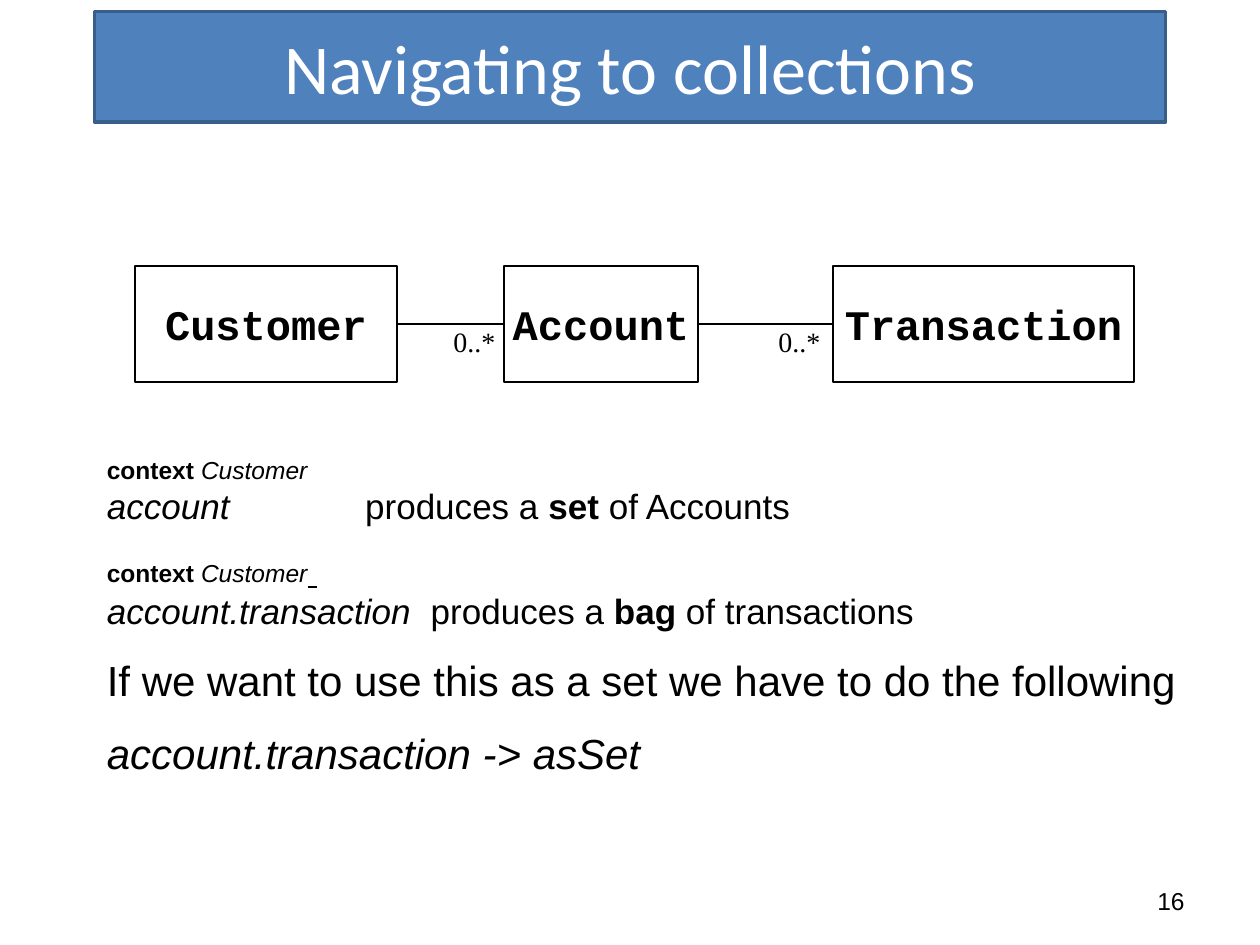
import pptx
import pptx.util
import pptx.dml.color
import pptx.enum.shapes
import pptx.enum.text
import lxml.etree

Inches = pptx.util.Inches
Pt = pptx.util.Pt
RGBColor = pptx.dml.color.RGBColor
ALIGN = pptx.enum.text.PP_ALIGN
ANCHOR = pptx.enum.text.MSO_ANCHOR

BLACK = RGBColor(0x00, 0x00, 0x00)
WHITE = RGBColor(0xFF, 0xFF, 0xFF)
BLUE = RGBColor(0x4F, 0x81, 0xBD)
DARK_BLUE = RGBColor(0x39, 0x5E, 0x89)
DRAWING = "http://schemas.openxmlformats.org/drawingml/2006/main"


def format_run(run, size, name="Arial", color=BLACK, style=""):
    """Style letters: b bold, i italic, u underline."""
    font = run.font
    font.name, font.size = name, Pt(size)
    font.color.rgb = color
    font.bold, font.italic, font.underline = (letter in style for letter in "biu")


def add_text_box(slide, left, top, width, height, wrap=True, anchor=ANCHOR.TOP):
    box = slide.shapes.add_textbox(Inches(left), Inches(top), Inches(width), Inches(height))
    box.text_frame.word_wrap = wrap
    box.text_frame.vertical_anchor = anchor
    return box.text_frame


def add_label(slide, text, size, name, align, *box, **options):
    frame = add_text_box(slide, *box, **options)
    frame.text = text
    paragraph = frame.paragraphs[0]
    paragraph.alignment = align
    format_run(paragraph.runs[0], size, name)


def place_title(slide, left, top, width, height):
    title = slide.shapes.title
    title.left, title.top = Inches(left), Inches(top)
    title.width, title.height = Inches(width), Inches(height)
    title.fill.solid()
    title.fill.fore_color.rgb = BLUE
    title.line.color.rgb = DARK_BLUE
    title.line.width = Pt(2)
    frame = title.text_frame
    frame.text = "Navigating to collections"
    frame.vertical_anchor = ANCHOR.MIDDLE
    frame.paragraphs[0].alignment = ALIGN.CENTER
    format_run(frame.paragraphs[0].runs[0], 40, "Calibri", WHITE)


def add_class_box(slide, name, left, top, width, height):
    shape = slide.shapes.add_shape(
        pptx.enum.shapes.MSO_SHAPE.RECTANGLE,
        Inches(left), Inches(top), Inches(width), Inches(height))
    shape.shadow.inherit = False
    shape.fill.background()
    shape.line.color.rgb = BLACK
    shape.line.width = Pt(1)
    frame = shape.text_frame
    frame.text = name
    frame.word_wrap = False
    frame.vertical_anchor = ANCHOR.MIDDLE
    frame.paragraphs[0].alignment = ALIGN.CENTER
    format_run(frame.paragraphs[0].runs[0], 24, "Courier New", style="b")
    return shape


def add_association(slide, source, target):
    connector = slide.shapes.add_connector(pptx.enum.shapes.MSO_CONNECTOR.STRAIGHT, 0, 0, 0, 0)
    connector.begin_connect(source, 3)
    connector.end_connect(target, 1)
    connector.line.color.rgb = BLACK
    connector.line.width = Pt(1)
    properties = connector._element.spPr
    lxml.etree.SubElement(properties, f"{{{DRAWING}}}effectLst")


def draw_class_diagram(slide, left, top, height):
    # Classes: name, offset from the left, width
    classes = [("Customer", 0, 2.08), ("Account", 2.93, 1.54), ("Transaction", 5.54, 2.39)]
    boxes = [add_class_box(slide, name, left + offset, top, width, height)
             for name, offset, width in classes]
    for source, target in zip(boxes, boxes[1:]):
        add_association(slide, source, target)
    # Multiplicities under the target ends
    for offset in (2.43, 5.01):
        add_label(slide, "0..*", 16, "Times New Roman", ALIGN.LEFT,
                  left + offset, top + 0.42, 0.53, 0.37, wrap=False)


def add_tab_stop(paragraph, position):
    properties = paragraph._p.get_or_add_pPr()
    tabs = lxml.etree.SubElement(properties, f"{{{DRAWING}}}tabLst")
    lxml.etree.SubElement(tabs, f"{{{DRAWING}}}tab", pos=str(Inches(position)), algn="l")


def write_explanation(slide, left, top, width, height):
    # Each paragraph: space before, tab stop, lines of (text, size, style) runs
    paragraphs = [
        (0, 2.05, [
            [("context ", 14, "b"), ("Customer", 14, "i")],
            [("account", 20, "i"), ("\tproduces a ", 20, ""), ("set", 20, "b"),
             (" of Accounts", 20, "")]]),
        (12, 2.57, [
            [("context ", 14, "b"), ("Customer", 14, "i"), (" ", 20, "u")],
            [("account.transaction", 20, "i"), ("\tproduces a ", 20, ""), ("bag", 20, "b"),
             (" of transactions", 20, "")]]),
        (13, None, [[("If we want to use this as a set we have to do the following", 24, "")]]),
        (13, None, [[("account.transaction -> asSet", 24, "i")]]),
    ]
    frame = add_text_box(slide, left, top, width, height, anchor=ANCHOR.MIDDLE)
    for index, (space, tab, lines) in enumerate(paragraphs):
        paragraph = frame.add_paragraph() if index else frame.paragraphs[0]
        paragraph.space_before = Pt(space)
        if tab:
            add_tab_stop(paragraph, tab)
        for number, line in enumerate(lines):
            if number:
                paragraph.add_line_break()
            for text, size, style in line:
                run = paragraph.add_run()
                run.text = text
                format_run(run, size, style=style)


def main():
    presentation = pptx.Presentation()
    presentation.slide_width, presentation.slide_height = Inches(10), Inches(7.5)
    slide = presentation.slides.add_slide(presentation.slide_layouts[5])
    place_title(slide, 0.75, 0.09, 8.5, 0.88)
    draw_class_diagram(slide, 1.07, 2.11, 0.92)
    write_explanation(slide, 0.75, 3.53, 9.06, 2.73)
    # Slide number
    add_label(slide, "16", 14, "Arial", ALIGN.RIGHT, 7.17, 6.95, 2.33, 0.4,
              anchor=ANCHOR.MIDDLE)
    presentation.save("out.pptx")


if __name__ == "__main__":
    main()
